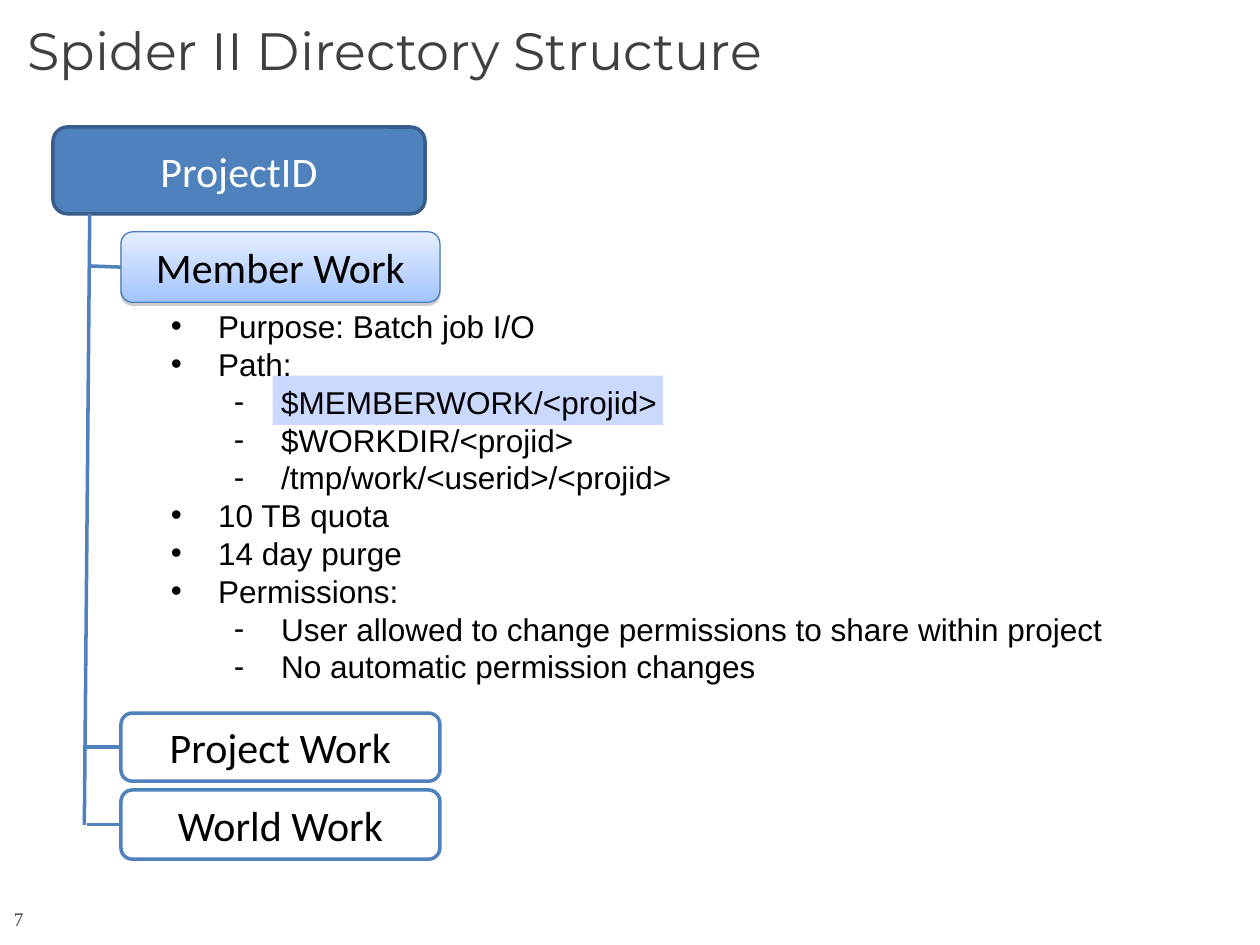
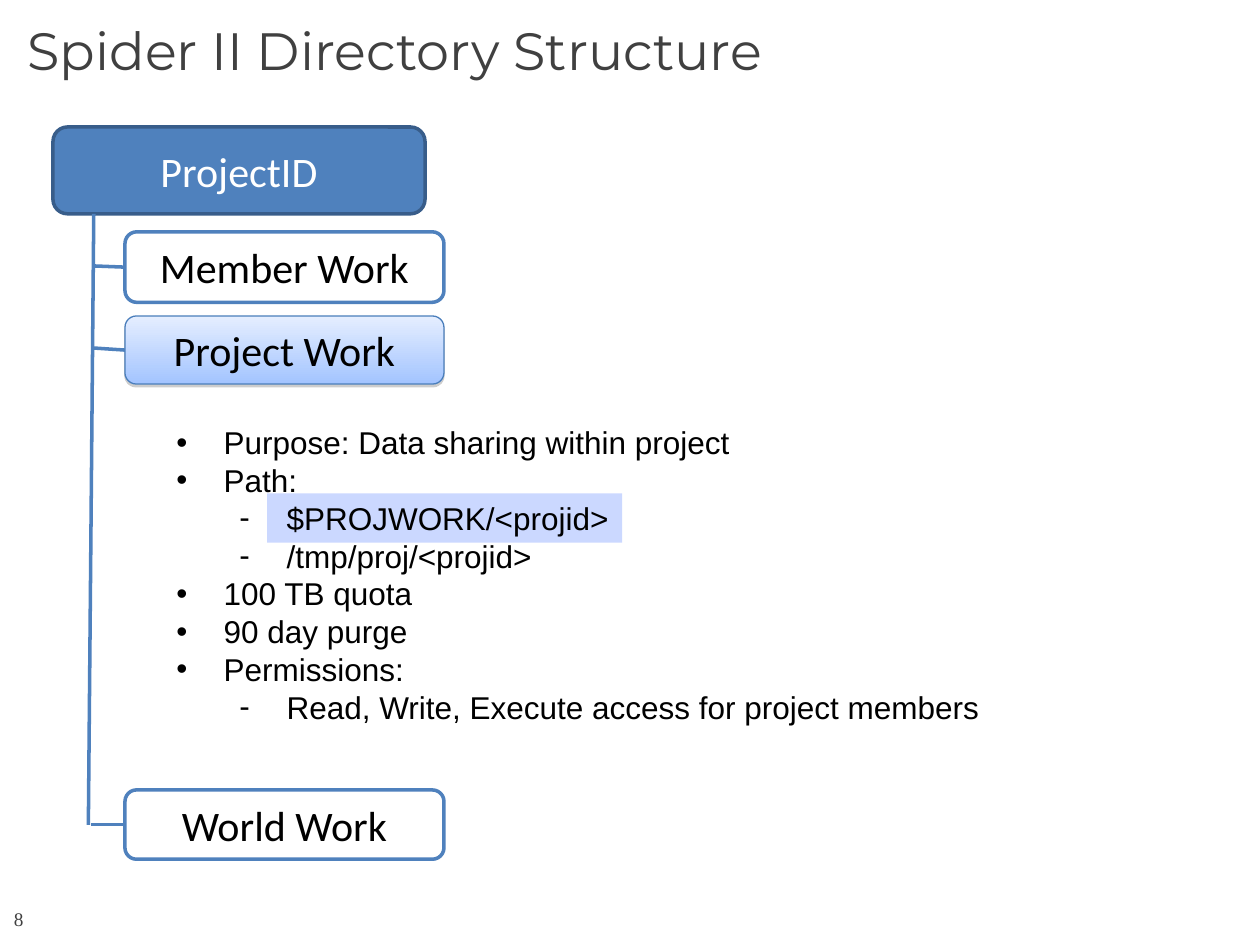
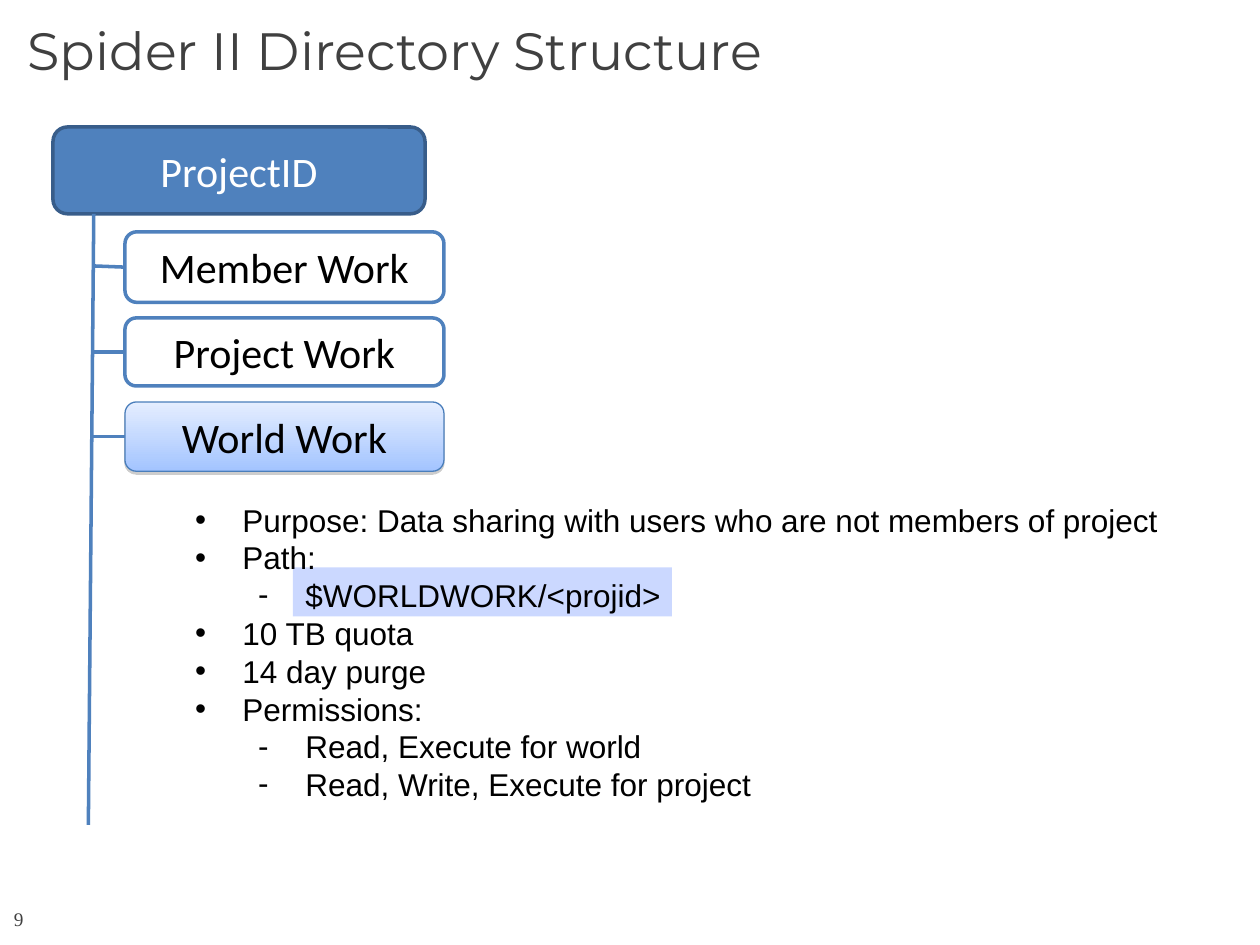
from dataclasses import dataclass

import pptx
import pptx.util
from pptx.dml.color import RGBColor
from pptx.enum.shapes import MSO_CONNECTOR, MSO_SHAPE
from pptx.enum.text import MSO_ANCHOR, PP_ALIGN
from pptx.oxml import parse_xml
from pptx.oxml.ns import nsdecls, qn
from pptx.oxml.xmlchemy import OxmlElement

Pt = pptx.util.Pt

TITLE = "Spider II Directory Structure"
ROOT = "ProjectID"
FIRST_NUMBER = 7

# nodes: label, top, height, branch length, rise of the branch at the trunk
# notes: level, text; places are in points
SLIDES = [
    {
        "active": "Member Work",
        "node_left": 69.1,
        "nodes": [
            ("Member Work", 132.5, 40.3, 18.5, 0.7),
            ("Project Work", 407.5, 38.9, 21.5, 0),
            ("World Work", 451.4, 39.6, 19.5, 0),
        ],
        "highlight": (155.8, 214.7, 223),
        "notes_at": (90.6, 172),
        "notes": [
            (0, "Purpose: Batch job I/O"),
            (0, "Path:"),
            (1, "$MEMBERWORK/<projid>"),
            (1, "$WORKDIR/<projid>"),
            (1, "/tmp/work/<userid>/<projid>"),
            (0, "10 TB quota"),
            (0, "14 day purge"),
            (0, "Permissions:"),
            (1, "User allowed to change permissions to share within project"),
            (1, "No automatic permission changes"),
        ],
    },
    {
        "active": "Project Work",
        "node_left": 71.4,
        "nodes": [
            ("Member Work", 132.5, 40.3, 18.5, 0.7),
            ("Project Work", 180.6, 38.9, 18.5, 1.2),
            ("World Work", 451.4, 39.6, 19.5, 0),
        ],
        "highlight": (152.6, 282, 203),
        "notes_at": (93.7, 238.3),
        "notes": [
            (0, "Purpose: Data sharing within project"),
            (0, "Path:"),
            (1, "$PROJWORK/<projid>"),
            (1, "/tmp/proj/<projid>"),
            (0, "100 TB quota"),
            (0, "90 day purge"),
            (0, "Permissions:"),
            (1, "Read, Write, Execute access for project members"),
        ],
    },
    {
        "active": "World Work",
        "node_left": 71.4,
        "nodes": [
            ("Member Work", 132.5, 40.3, 18.5, 0.7),
            ("Project Work", 181.7, 38.9, 18, 0),
            ("World Work", 229.7, 39.6, 19.5, 0),
        ],
        "highlight": (167.3, 324.2, 216.7),
        "notes_at": (104.4, 282.5),
        "notes": [
            (0, "Purpose: Data sharing with users who are not members of project"),
            (0, "Path:"),
            (1, "$WORLDWORK/<projid>"),
            (0, "10 TB quota"),
            (0, "14 day purge"),
            (0, "Permissions:"),
            (1, "Read, Execute for world"),
            (1, "Read, Write, Execute for project"),
        ],
    },
]


@dataclass(frozen=True)
class Theme:
    title_font: str = "Montserrat"
    node_font: str = "Calibri"
    note_font: str = "Arial"
    number_font: str = "Times New Roman"
    title_size: float = 30
    node_size: float = 24
    note_size: float = 18
    number_size: float = 11
    grey: str = "404040"
    black: str = "000000"
    white: str = "FFFFFF"
    blue: str = "4F81BD"
    dark_blue: str = "385D8A"
    active_line: str = "4A7EBB"
    active_top: str = "E5EEFF"
    active_bottom: str = "A3C4FF"
    highlight: str = "3366FF"
    line_width: float = 2


T = Theme()
SLIDE_W, SLIDE_H = 720, 540
ROOT_BOX = (30.3, 72.6, 212.6, 49.6)
NODE_W = 182.3
TRUNK_BOTTOM = 471.4
HIGHLIGHT_H = 28.1
NOTE_LINE = 21.6
BULLETS = [("•", 27), ("-", 63)]
HANG = 27


def rgb(color):
    return RGBColor.from_string(color)


def add_run(p, text, font, size, color):
    r = p.add_run()
    r.text = text
    r.font.name, r.font.size = font, Pt(size)
    r.font.color.rgb = rgb(color)


def set_margins(tf, x, y):
    tf.margin_left = tf.margin_right = Pt(x)
    tf.margin_top = tf.margin_bottom = Pt(y)


def add_title(s):
    sp = s.shapes.title
    sp.left, sp.top, sp.width, sp.height = Pt(8.6), Pt(12.2), Pt(648), Pt(39)
    tf = sp.text_frame
    tf.word_wrap = True
    tf.vertical_anchor = MSO_ANCHOR.TOP
    set_margins(tf, 7.2, 3.6)
    p = tf.paragraphs[0]
    p.alignment, p.line_spacing = PP_ALIGN.LEFT, 0.85
    add_run(p, TITLE, T.title_font, T.title_size, T.grey)


def add_number(s, number):
    tf = s.shapes.add_textbox(Pt(8), Pt(520), Pt(36), Pt(12)).text_frame
    tf.word_wrap = True
    set_margins(tf, 0, 0)
    p = tf.paragraphs[0]
    p.line_spacing = 0.9
    add_run(p, str(number), T.number_font, T.number_size, T.grey)


def add_block(s, kind, box, fill):
    sp = s.shapes.add_shape(kind, *map(Pt, box))
    sp.shadow.inherit = False
    sp.fill.solid()
    sp.fill.fore_color.rgb = rgb(fill)
    return sp


def add_node(s, label, box, fill=T.white, line=T.blue, color=T.black):
    sp = add_block(s, MSO_SHAPE.ROUNDED_RECTANGLE, box, fill)
    sp.line.color.rgb = rgb(line)
    sp.line.width = Pt(T.line_width)
    tf = sp.text_frame
    tf.word_wrap = True
    tf.vertical_anchor = MSO_ANCHOR.MIDDLE
    set_margins(tf, 7.2, 3.6)
    p = tf.paragraphs[0]
    p.alignment = PP_ALIGN.CENTER
    add_run(p, label, T.node_font, T.node_size, color)
    return sp


def mark_active(sp):
    """Give the current node its gradient, thin outline and short shadow."""
    sp.fill.gradient()
    sp.fill.gradient_angle = 270
    for stop, color in zip(sp.fill.gradient_stops, (T.active_top, T.active_bottom)):
        stop.color.rgb = rgb(color)
    sp.line.color.rgb = rgb(T.active_line)
    sp.line.width = Pt(0.75)
    sp.element.spPr.find(qn("a:effectLst")).append(parse_xml(
        f'<a:outerShdw {nsdecls("a")} blurRad="0" dist="{Pt(1.6)}" dir="5400000" rotWithShape="0">'
        '<a:srgbClr val="808080"><a:alpha val="38000"/></a:srgbClr></a:outerShdw>'))


def add_line(s, x1, y1, x2, y2):
    line = s.shapes.add_connector(MSO_CONNECTOR.STRAIGHT, Pt(x1), Pt(y1), Pt(x2), Pt(y2))
    line.line.color.rgb = rgb(T.blue)
    line.line.width = Pt(T.line_width)
    line._element.spPr.append(OxmlElement("a:effectLst"))
    return line


def add_tree(s, content):
    left = content["node_left"]
    root_left, root_top, root_w, root_h = ROOT_BOX
    add_node(s, ROOT, ROOT_BOX, T.blue, T.dark_blue, T.white)
    add_line(s, left - 17.8, root_top + root_h, left - 20.9, TRUNK_BOTTOM)
    for label, top, height, reach, rise in content["nodes"]:
        sp = add_node(s, label, (left, top, NODE_W, height))
        if label == content["active"]:
            mark_active(sp)
        middle = top + height / 2
        branch = add_line(s, left, middle, left - reach, middle - rise)
        branch.begin_connect(sp, 1)


def add_highlight(s, left, top, width):
    sp = add_block(s, MSO_SHAPE.RECTANGLE, (left, top, width, HIGHLIGHT_H), T.highlight)
    sp.line.fill.background()
    alpha = OxmlElement("a:alpha")
    alpha.set("val", "25000")
    sp.element.spPr.find(qn("a:solidFill")).find(qn("a:srgbClr")).append(alpha)


def add_bullet(p, level):
    char, indent = BULLETS[level]
    pPr = p._p.get_or_add_pPr()
    pPr.set("marL", str(Pt(indent)))
    pPr.set("indent", str(-Pt(HANG)))
    for xml in (f'<a:buClr {nsdecls("a")}><a:srgbClr val="{T.black}"/></a:buClr>',
                f'<a:buFont {nsdecls("a")} typeface="{T.note_font}"/>',
                f'<a:buChar {nsdecls("a")} char="{char}"/>'):
        pPr.append(parse_xml(xml))
    p.level = level


def add_notes(s, left, top, notes):
    height = len(notes) * NOTE_LINE + 7.2
    tf = s.shapes.add_textbox(Pt(left), Pt(top), Pt(SLIDE_W - left), Pt(height)).text_frame
    tf.word_wrap = True
    set_margins(tf, 7.2, 3.6)
    for i, (level, text) in enumerate(notes):
        p = tf.add_paragraph() if i else tf.paragraphs[0]
        add_bullet(p, level)
        p.line_spacing = Pt(NOTE_LINE)
        add_run(p, text, T.note_font, T.note_size, T.black)


def main():
    prs = pptx.Presentation()
    prs.slide_width, prs.slide_height = Pt(SLIDE_W), Pt(SLIDE_H)
    for number, content in enumerate(SLIDES, FIRST_NUMBER):
        s = prs.slides.add_slide(prs.slide_layouts[5])
        add_title(s)
        add_number(s, number)
        add_highlight(s, *content["highlight"])
        add_tree(s, content)
        add_notes(s, *content["notes_at"], content["notes"])
    prs.save("out.pptx")


if __name__ == "__main__":
    main()
